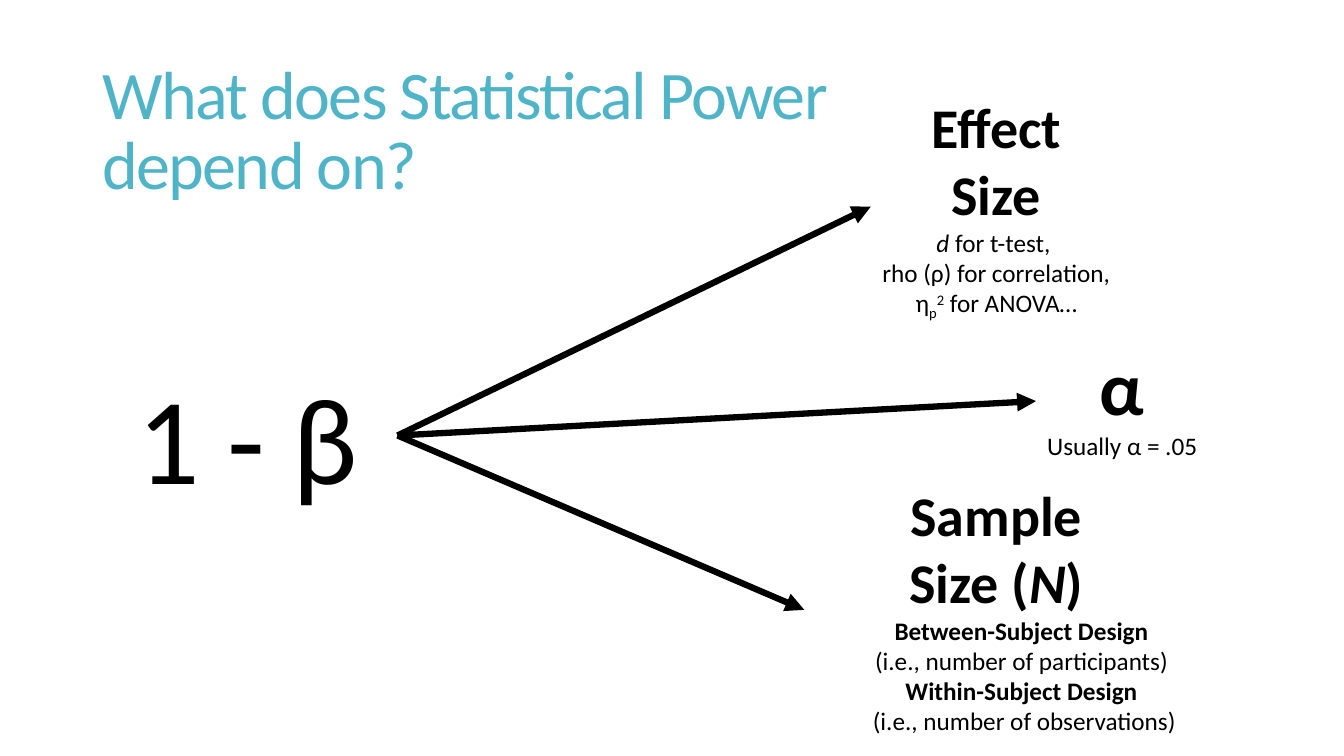
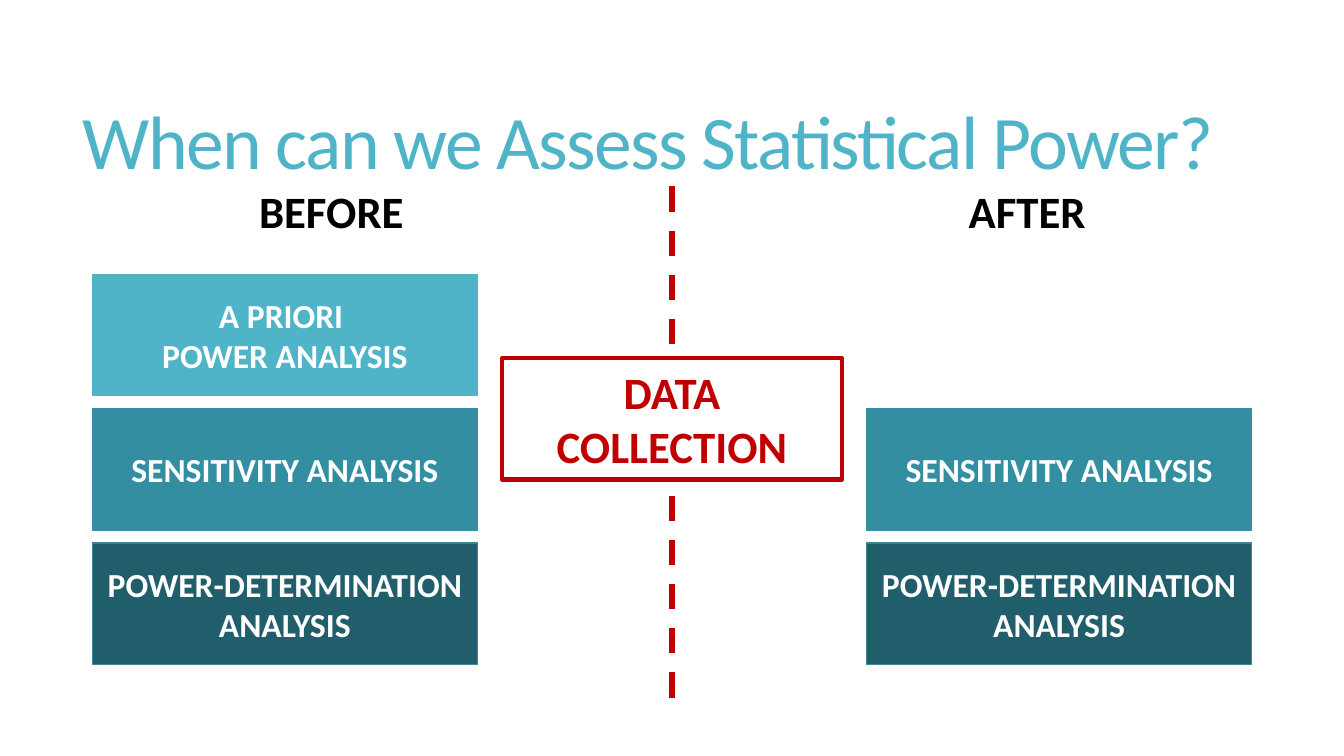
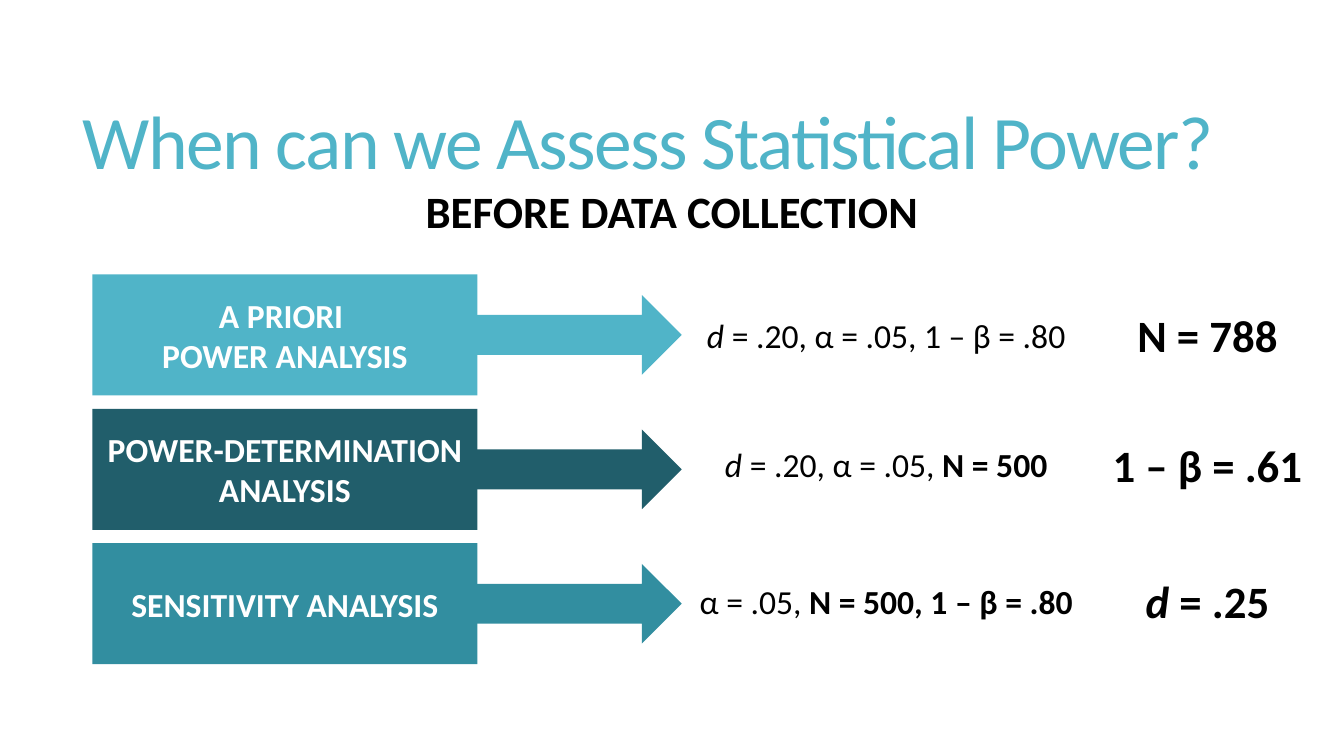
from dataclasses import dataclass
from typing import NamedTuple

from lxml import etree
from pptx import Presentation
from pptx.dml.color import RGBColor
from pptx.enum.dml import MSO_LINE
from pptx.enum.shapes import MSO_CONNECTOR, MSO_SHAPE
from pptx.enum.text import MSO_ANCHOR, MSO_AUTO_SIZE, PP_ALIGN
from pptx.oxml.ns import qn
from pptx.util import Pt

RECT, ARROW = MSO_SHAPE.RECTANGLE, MSO_SHAPE.RIGHT_ARROW
STRAIGHT, DASH = MSO_CONNECTOR.STRAIGHT, MSO_LINE.DASH
LEFT, CENTER = PP_ALIGN.LEFT, PP_ALIGN.CENTER
MIDDLE, NO_FIT = MSO_ANCHOR.MIDDLE, MSO_AUTO_SIZE.NONE


@dataclass(frozen=True)
class Theme:
    """Font, colours and type sizes of the deck."""
    font: str = "Calibri"
    black: str = "000000"
    white: str = "FFFFFF"
    red: str = "C00000"
    light: str = "50B4C8"
    mid: str = "328EA0"
    dark: str = "215E6B"
    dark_edge: str = "3B8594"
    title: float = 54
    small_title: float = 48.6
    formula: float = 88
    symbol: float = 54
    factor: float = 40
    label: float = 32
    body: float = 24
    note: float = 18


class Line(NamedTuple):
    """One paragraph: plain text, or (text, style) runs."""
    runs: str | list
    size: float
    bold: bool = False
    level: int = 0


class Box(NamedTuple):
    """A rectangle in points."""
    x: float
    y: float
    w: float
    h: float

    def lengths(self):
        """Return the four lengths for python-pptx."""
        return [Pt(v) for v in self]


T = Theme()
BASELINES = {"sub": "-25000", "sup": "30000"}
A_PRIORI = (["A PRIORI ", "POWER ANALYSIS"], T.light, T.light)
SENSITIVITY = (["SENSITIVITY ANALYSIS"], T.mid, T.mid)
DETERMINATION = (["POWER-DETERMINATION ANALYSIS"], T.dark, T.dark_edge)
TITLE_BOX = Box(52, 39.6, 848, 130.4)
ANALYSIS_X, ANALYSIS_W, ANALYSIS_H = 66, 275, 86.5
ROW_TOP, ROW_PITCH = 196, 96
LABEL_Y, LABEL_H = 133.2, 34.6


def rgb(color):
    """Turn a hex string into a colour."""
    return RGBColor.from_string(color)


def style_paragraph(p, size, color, bold=False, align=CENTER):
    """Set the look that all runs of a paragraph share."""
    p.alignment = align
    p.font.name, p.font.size, p.font.bold = T.font, Pt(size), bold
    p.font.color.rgb = rgb(color)


def write(tf, lines, color):
    """Fill a text frame with centred lines."""
    for i, line in enumerate(lines):
        p = tf.paragraphs[0] if i == 0 else tf.add_paragraph()
        p.level = line.level
        style_paragraph(p, line.size, color, line.bold)
        runs = [(line.runs, "")] if isinstance(line.runs, str) else line.runs
        for text, style in runs:
            r = p.add_run()
            r.text = text
            if style == "b":
                r.font.bold = True
            elif style == "i":
                r.font.italic = True
            elif style in BASELINES:
                r._r.get_or_add_rPr().set("baseline", BASELINES[style])


def add_title(s, box, text, size):
    """Place the slide title."""
    sp = s.shapes.title
    sp.left, sp.top, sp.width, sp.height = box.lengths()
    tf = sp.text_frame
    tf.auto_size, tf.word_wrap, tf.vertical_anchor = NO_FIT, True, MIDDLE
    tf.text = text
    p = tf.paragraphs[0]
    p.line_spacing = 0.85
    style_paragraph(p, size, T.light, align=LEFT)
    p._p.get_or_add_pPr().get_or_add_defRPr().set("spc", "-120")


def add_text(s, box, lines):
    """Place an unwrapped text box."""
    tf = s.shapes.add_textbox(*box.lengths()).text_frame
    tf.word_wrap = False
    write(tf, lines, T.black)


def add_block(s, box, lines=(), fill=T.white, edge=None, color=T.white,
              edge_width=1, kind=RECT):
    """Place a filled shape with centred text."""
    sp = s.shapes.add_shape(kind, *box.lengths())
    sp.shadow.inherit = False
    sp.fill.solid()
    sp.fill.fore_color.rgb = rgb(fill)
    if edge:
        sp.line.color.rgb, sp.line.width = rgb(edge), Pt(edge_width)
    else:
        sp.line.fill.background()
    sp.text_frame.vertical_anchor = MIDDLE
    write(sp.text_frame, lines, color)


def add_label(s, box, runs, size=T.label, bold=True):
    """Place black text on a white block."""
    add_block(s, box, [Line(runs, size, bold)], edge=T.white, color=T.black)


def add_line(s, start, end, color, dash=None, arrow=False):
    """Draw a heavy line between two points."""
    c = s.shapes.add_connector(STRAIGHT, *[Pt(v) for v in (*start, *end)])
    c.line.color.rgb, c.line.width = rgb(color), Pt(4.5)
    if dash:
        c.line.dash_style = dash
    if arrow:
        ln = c.line._get_or_add_ln()
        etree.SubElement(ln, qn("a:tailEnd")).set("type", "triangle")
    etree.SubElement(c._element.spPr, qn("a:effectLst"))


def row_box(x, row):
    """Return the analysis box at a given grid row."""
    return Box(x, ROW_TOP + row * ROW_PITCH, ANALYSIS_W, ANALYSIS_H)


def add_analysis(s, box, analysis, outlined=False):
    """Place one named analysis."""
    names, fill, edge = analysis
    add_block(s, box, [Line(n, T.body, True) for n in names], fill,
              edge if outlined else None)


def add_analysis_row(s, box, analysis, inputs, result, shift):
    """Place an analysis, its arrow, its inputs and its result."""
    mid = box.y + box.h / 2
    right = box.x + box.w
    add_block(s, Box(right - 1, mid - 28.5, 147, 57), fill=analysis[1],
              kind=ARROW)
    add_analysis(s, box, analysis)
    y = mid - LABEL_H / 2 + shift
    add_label(s, Box(right + 150, y, 284, LABEL_H), inputs, T.body, False)
    add_label(s, Box(right + 439.5, y, 164, LABEL_H), result)


def factors_slide(s):
    """Show the three things that power depends on."""
    add_title(s, Box(66, 43.2, 828, 104.4),
              "What does Statistical Power \vdepend on?", T.small_title)
    formula = Box(90, 254.2, 194, 113.8)
    add_text(s, formula, [Line("1 - β ", T.formula)])
    factors = [
        (Box(622, 62.6, 179.3, 170), (622, 147.6), [
            Line("Effect", T.factor, True),
            Line("Size", T.factor, True),
            Line([("d ", "i"), ("for t-test, ", "")], T.note),
            Line("rho (ρ) for correlation,", T.note),
            Line([("η", ""), ("p", "sub"), ("2", "sup"),
                  (" for ANOVA…", "")], T.note)]),
        (Box(740, 239, 123.1, 94.3), (740, 286.5), [
            Line("α", T.symbol, True),
            Line("Usually α = .05", T.note)]),
        (Box(574.5, 339.8, 274.3, 191.5), (574.5, 435.6), [
            Line("Sample", T.factor, True),
            Line([("Size (", ""), ("N", "i"), (")", "")], T.factor, True),
            Line("Between-Subject Design", T.note, True, 1),
            Line("(i.e., number of participants)", T.note, False, 1),
            Line("Within-Subject Design", T.note, True, 1),
            Line(" (i.e., number of observations)", T.note, False, 1)]),
    ]
    start = (formula.x + formula.w, formula.y + formula.h / 2)
    for box, tip, lines in factors:
        add_text(s, box, lines)
        add_line(s, start, tip, T.black, arrow=True)


def timing_slide(s):
    """Compare the analyses before and after data collection."""
    add_title(s, TITLE_BOX, "When can we Assess Statistical Power?", T.title)
    add_line(s, (480, LABEL_Y), (480, 504), T.red, dash=DASH)
    add_block(s, Box(358.5, 256, 243, 86.5),
              [Line("DATA COLLECTION", T.label, True)],
              edge=T.red, color=T.red, edge_width=3)
    sides = [("BEFORE", 115, ANALYSIS_X, [A_PRIORI, SENSITIVITY, DETERMINATION]),
             ("AFTER", 612, 619, [None, SENSITIVITY, DETERMINATION])]
    for label, label_x, x, analyses in sides:
        add_label(s, Box(label_x, LABEL_Y, 243.5, LABEL_H), label)
        for row, analysis in enumerate(analyses):
            if analysis:
                add_analysis(s, row_box(x, row), analysis, outlined=True)


def before_slide(s):
    """Show inputs and results of the analyses made beforehand."""
    add_title(s, TITLE_BOX, "When can we Assess Statistical Power?", T.title)
    add_label(s, Box(275.5, LABEL_Y, 409, LABEL_H), "BEFORE DATA COLLECTION")
    rows = [
        (A_PRIORI, [("d ", "i"), ("= .20, α = .05, 1 – β = .80", "")],
         "N = 788", 0),
        (DETERMINATION,
         [("d ", "i"), ("= .20, α = .05, ", ""), ("N = 500", "b")],
         "1 – β = .61", -3.5),
        (SENSITIVITY, [("α = .05, ", ""), ("N = 500, 1 – β = .80", "b")],
         [("d", "i"), (" = .25", "")], -2),
    ]
    for i, row in enumerate(rows):
        add_analysis_row(s, row_box(ANALYSIS_X, i), *row)


prs = Presentation()
prs.slide_width, prs.slide_height = Pt(960), Pt(540)
for build in (factors_slide, timing_slide, before_slide):
    build(prs.slides.add_slide(prs.slide_layouts[5]))
prs.save("out.pptx")
